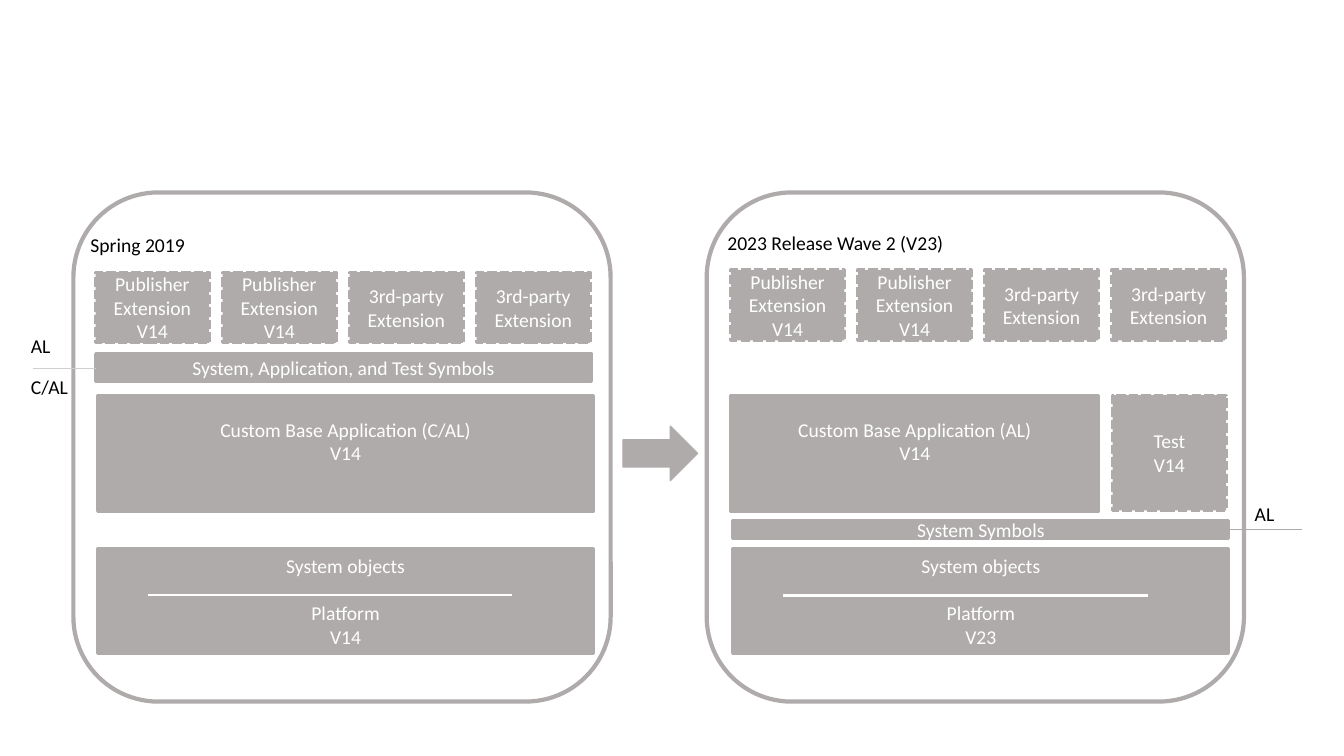
from typing import NamedTuple, Optional

from pptx import Presentation
from pptx.dml.color import RGBColor
from pptx.enum.dml import MSO_LINE
from pptx.enum.shapes import MSO_CONNECTOR, MSO_SHAPE
from pptx.enum.text import MSO_ANCHOR, MSO_AUTO_SIZE, PP_ALIGN
from pptx.oxml.ns import qn
from pptx.shapes.autoshape import Shape
from pptx.slide import Slide
from pptx.text.text import TextFrame
from pptx.util import Cm, Pt
from lxml.etree import SubElement

GREY = RGBColor(0xAF, 0xAB, 0xAB)
PALE_GREY = RGBColor(0xD0, 0xCE, 0xCE)
WHITE = RGBColor(0xFF, 0xFF, 0xFF)
BLACK = RGBColor(0x00, 0x00, 0x00)
LINE_PITCH = Pt(17)

EXTENSIONS = ["Publisher Extension\nV14"] * 2 + ["3rd-party Extension"] * 2
EXTENSION_PITCH = 3.2
EXTENSION_WIDTH = 2.86


class Area(NamedTuple):
    """Position and size in centimetres."""
    left: float
    top: float
    width: float
    height: float


class Block(NamedTuple):
    text: str
    area: Area
    dashed: bool = False
    lines_below: int = 0
    gap_after_first: bool = False


class Label(NamedTuple):
    text: str
    area: Area
    wrap: bool = False


class Rule(NamedTuple):
    start: float
    end: float
    y: float
    color: RGBColor
    weight: float


class Release(NamedTuple):
    outline: Area
    extension_left: float
    extension_top: float
    blocks: list[Block]
    labels: list[Label]
    rules: list[Rule]


SPRING_2019 = Release(
    Area(1.85, 4.85, 13.54, 12.83), 2.41, 6.86,
    [Block("System, Application, and Test Symbols", Area(2.41, 8.92, 12.5, 0.69)),
     Block("Custom Base Application (C/AL)\vV14", Area(2.46, 9.96, 12.5, 2.92),
           lines_below=1),
     Block("System objects\nPlatform\nV14", Area(2.46, 13.82, 12.5, 2.64),
           gap_after_first=True)],
    [Label("Spring 2019", Area(2.03, 5.74, 3.02, 0.86)),
     Label("AL", Area(0.53, 8.28, 1.02, 0.86)),
     Label("C/AL", Area(0.53, 9.32, 1.45, 0.86))],
    [Rule(0.84, 2.41, 9.27, PALE_GREY, 0.5),
     Rule(3.73, 12.9, 14.99, WHITE, 1.75)])

WAVE_2_2023 = Release(
    Area(17.81, 4.85, 13.54, 12.83), 18.42, 6.8,
    [Block("Custom Base Application (AL)\vV14", Area(18.42, 9.96, 9.27, 2.92),
           lines_below=1),
     Block("Test\nV14", Area(28.04, 9.96, 2.86, 2.9), dashed=True),
     Block("System Symbols", Area(18.47, 13.11, 12.5, 0.46)),
     Block("System objects\nPlatform\nV23", Area(18.47, 13.82, 12.5, 2.64),
           gap_after_first=True)],
    [Label("2023 Release Wave 2 (V23)", Area(18.08, 5.69, 6.55, 0.86), wrap=True),
     Label("AL", Area(31.37, 12.52, 1.02, 0.86))],
    [Rule(30.96, 32.82, 13.34, GREY, 0.5),
     Rule(19.74, 28.93, 15.01, WHITE, 1.75)])

ARROW = Area(15.7, 10.74, 1.88, 1.37)


def write_text(frame: TextFrame, text: str, *, color: RGBColor,
               align: PP_ALIGN = PP_ALIGN.LEFT, wrap: bool = True) -> None:
    frame.word_wrap = wrap
    for index, line in enumerate(text.split("\n")):
        paragraph = frame.add_paragraph() if index else frame.paragraphs[0]
        paragraph.alignment = align
        paragraph.text = line
        for run in paragraph.runs:
            run.font.name = "Calibri"
            run.font.size = Pt(14)
            run.font.color.rgb = color


def add_preset(slide: Slide, preset: MSO_SHAPE, area: Area, weight: float,
               filled: bool = True) -> Shape:
    shape = slide.shapes.add_shape(preset, *map(Cm, area))
    shape.shadow.inherit = False
    if filled:
        shape.fill.solid()
        shape.fill.fore_color.rgb = GREY
    else:
        shape.fill.background()
    shape.line.color.rgb = GREY
    shape.line.width = Pt(weight)
    return shape


def add_block(slide: Slide, block: Block) -> None:
    shape = add_preset(slide, MSO_SHAPE.RECTANGLE, block.area, 2.25)
    if block.dashed:
        shape.line.dash_style = MSO_LINE.SQUARE_DOT
    frame = shape.text_frame
    frame.vertical_anchor = MSO_ANCHOR.MIDDLE
    frame.margin_bottom += block.lines_below * LINE_PITCH
    write_text(frame, block.text, color=WHITE, align=PP_ALIGN.CENTER)
    if block.gap_after_first:
        frame.paragraphs[0].space_after = LINE_PITCH


def add_label(slide: Slide, label: Label) -> None:
    frame = slide.shapes.add_textbox(*map(Cm, label.area)).text_frame
    frame.auto_size = MSO_AUTO_SIZE.SHAPE_TO_FIT_TEXT
    write_text(frame, label.text, color=BLACK, wrap=label.wrap)


def add_rule(slide: Slide, rule: Rule) -> None:
    connector = slide.shapes.add_connector(
        MSO_CONNECTOR.STRAIGHT, Cm(rule.start), Cm(rule.y), Cm(rule.end), Cm(rule.y))
    connector.line.color.rgb = rule.color
    connector.line.width = Pt(rule.weight)
    SubElement(connector._element.spPr, qn("a:effectLst"))


def add_release(slide: Slide, release: Release) -> None:
    add_preset(slide, MSO_SHAPE.ROUNDED_RECTANGLE, release.outline, 3, filled=False)
    for column, text in enumerate(EXTENSIONS):
        left = release.extension_left + column * EXTENSION_PITCH
        area = Area(left, release.extension_top, EXTENSION_WIDTH, 1.78)
        add_block(slide, Block(text, area, dashed=True))
    for block in release.blocks:
        add_block(slide, block)
    for rule in release.rules:
        add_rule(slide, rule)
    for label in release.labels:
        add_label(slide, label)


def main() -> None:
    presentation = Presentation()
    presentation.slide_width = Cm(33.87)
    presentation.slide_height = Cm(19.05)
    slide = presentation.slides.add_slide(presentation.slide_layouts[6])
    for release in (SPRING_2019, WAVE_2_2023):
        add_release(slide, release)
    add_preset(slide, MSO_SHAPE.RIGHT_ARROW, ARROW, 1)
    presentation.save("out.pptx")


if __name__ == "__main__":
    main()
